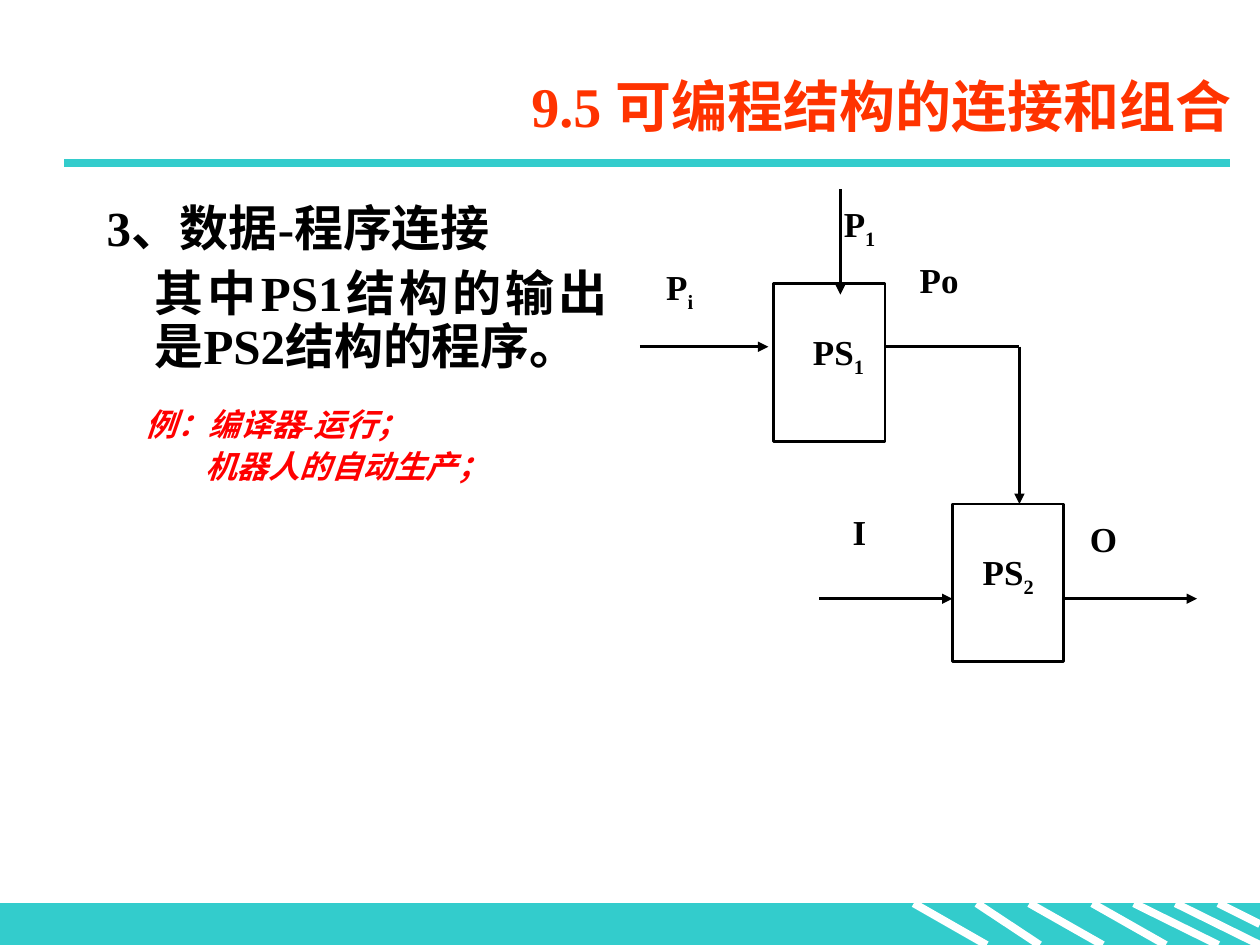
"""Build the slide on connecting and combining programmable structures."""
from lxml.etree import SubElement
from pptx import Presentation
from pptx.dml.color import RGBColor
from pptx.enum.shapes import MSO_CONNECTOR as CONN, MSO_SHAPE as SHAPE
from pptx.enum.text import MSO_ANCHOR as ANCHOR, PP_ALIGN as ALIGN
from pptx.oxml.ns import qn
from pptx.util import Cm, Pt

TEAL = RGBColor(0x33, 0xCC, 0xCC)
WHITE = RGBColor(0xFF, 0xFF, 0xFF)
BLACK = RGBColor(0, 0, 0)
RED = RGBColor(0xFF, 0, 0)
ORANGE = RGBColor(0xFF, 0x33, 0)


class Deck:
    font = {"name": "Times New Roman", "bold": True, "size": Pt(20)}
    para = {"alignment": ALIGN.JUSTIFY}

    def __init__(self, prs):
        self.s = prs.slides.add_slide(prs.slide_layouts[6])

    def put_text(self, sp, paras, color=BLACK, inset=(0.25, 0.13), font={}, para={},
                 gap=0, indents=(), anchor=ANCHOR.TOP):
        tf = sp.text_frame
        frame = {"word_wrap": True, "vertical_anchor": anchor,
                 "margin_left": Cm(inset[0]), "margin_top": Cm(inset[1]),
                 "margin_right": Cm(0.25), "margin_bottom": Cm(0.13)}
        for key, value in frame.items():
            setattr(tf, key, value)
        for i, runs in enumerate(paras):
            p = tf.add_paragraph() if i else tf.paragraphs[0]
            if indents:
                pPr = p._p.get_or_add_pPr()
                for key, value in zip(("marL", "indent"), indents[i]):
                    pPr.set(key, str(int(Cm(value))))
            for key, value in {**self.para, **para}.items():
                setattr(p, key, value)
            if i:
                p.space_before = Pt(gap)
            for j, text in enumerate(runs):
                r = p.add_run()
                r.text = text
                for key, value in {**self.font, **font}.items():
                    setattr(r.font, key, value)
                r.font.color.rgb = color
                if j:
                    r._r.get_or_add_rPr().set("baseline", "-25000")

    def text(self, x, y, w, h, paras, **style):
        sp = self.s.shapes.add_textbox(Cm(x), Cm(y), Cm(w), Cm(h))
        self.put_text(sp, paras, **style)

    def box(self, x, y, w, h, fill=WHITE, line=BLACK, width=1.5):
        sp = self.s.shapes.add_shape(SHAPE.RECTANGLE, Cm(x), Cm(y), Cm(w), Cm(h))
        sp.shadow.inherit = False
        sp.fill.solid()
        sp.fill.fore_color.rgb = fill
        sp.line.color.rgb = line
        sp.line.width = Pt(width)
        return sp

    def line(self, x1, y1, x2, y2, color=BLACK, width=1.5, arrow=False):
        cx = self.s.shapes.add_connector(CONN.STRAIGHT, Cm(x1), Cm(y1), Cm(x2), Cm(y2))
        cx.line.color.rgb = color
        cx.line.width = Pt(width)
        spPr = cx._element.spPr
        if arrow:
            SubElement(spPr.get_or_add_ln(), qn("a:tailEnd"), type="triangle")
        SubElement(spPr, qn("a:effectLst"))


def main():
    prs = Presentation()
    prs.slide_width, prs.slide_height = Cm(25.4), Cm(19.05)
    deck = Deck(prs)

    band, bottom = 18.21, 19.05
    deck.box(0, band, 25.4, bottom - band, TEAL, TEAL, 0.75)
    for x1, x2, y2 in ((18.42, 19.89, bottom), (19.69, 20.96, bottom),
                       (20.75, 22.23, bottom), (22.02, 23.5, bottom),
                       (22.86, 24.56, bottom), (23.7, 25.4, bottom),
                       (24.56, 25.4, 18.63)):
        deck.line(x1, band, x2, y2, WHITE, 4.5)
    deck.line(1.3, 3.28, 24.79, 3.28, TEAL, 4.5)

    deck.text(3.5, 1.12, 21.59, 2, [["9.5 可编程结构的连接和组合"]], color=ORANGE,
              font={"size": Pt(32)}, para={"alignment": ALIGN.RIGHT},
              anchor=ANCHOR.MIDDLE)
    deck.text(1.9, 3.99, 10.6, 4.75,
              [["3、数据-程序连接"], ["其中PS1结构的输出是PS2结构的程序。"]],
              font={"size": Pt(28)}, para={"line_spacing": 0.9}, gap=7,
              indents=((0.97, -0.97), (0.97, 0)))
    deck.text(2.69, 8.13, 9.78, 1.78,
              [["例：编译器-运行；"], ["机器人的自动生产；"]], color=RED,
              font={"size": Pt(18), "italic": True}, para={"line_spacing": 0.9},
              gap=4.5, indents=((0, 0), (1.2, 0)))

    for x, y, number, left in ((15.6, 5.72, "1", 0.79), (19.2, 10.16, "2", 0.61)):
        sp = deck.box(x, y, 2.24, 3.18)
        deck.put_text(sp, [["PS", number]], inset=(left, 0.94))

    for x1, y1, x2, y2, arrow in ((16.94, 3.81, 16.94, 5.94, True),
                                  (12.9, 6.99, 15.49, 6.99, True),
                                  (17.86, 6.99, 20.55, 6.99, False),
                                  (20.55, 6.99, 20.55, 10.16, True),
                                  (16.51, 12.07, 19.2, 12.07, True),
                                  (21.44, 12.07, 24.13, 12.07, True)):
        deck.line(x1, y1, x2, y2, arrow=arrow)

    for x, y, w, runs in ((16.94, 10.16, 1.35, ["I"]), (13.18, 5.23, 1.35, ["P", "i"]),
                          (21.72, 10.31, 1.8, ["O"]), (16.76, 3.96, 1.35, ["P", "1"]),
                          (18.29, 5.08, 1.8, ["Po"])):
        deck.text(x, y, w, 1.9, [runs])

    prs.save("out.pptx")


if __name__ == "__main__":
    main()
